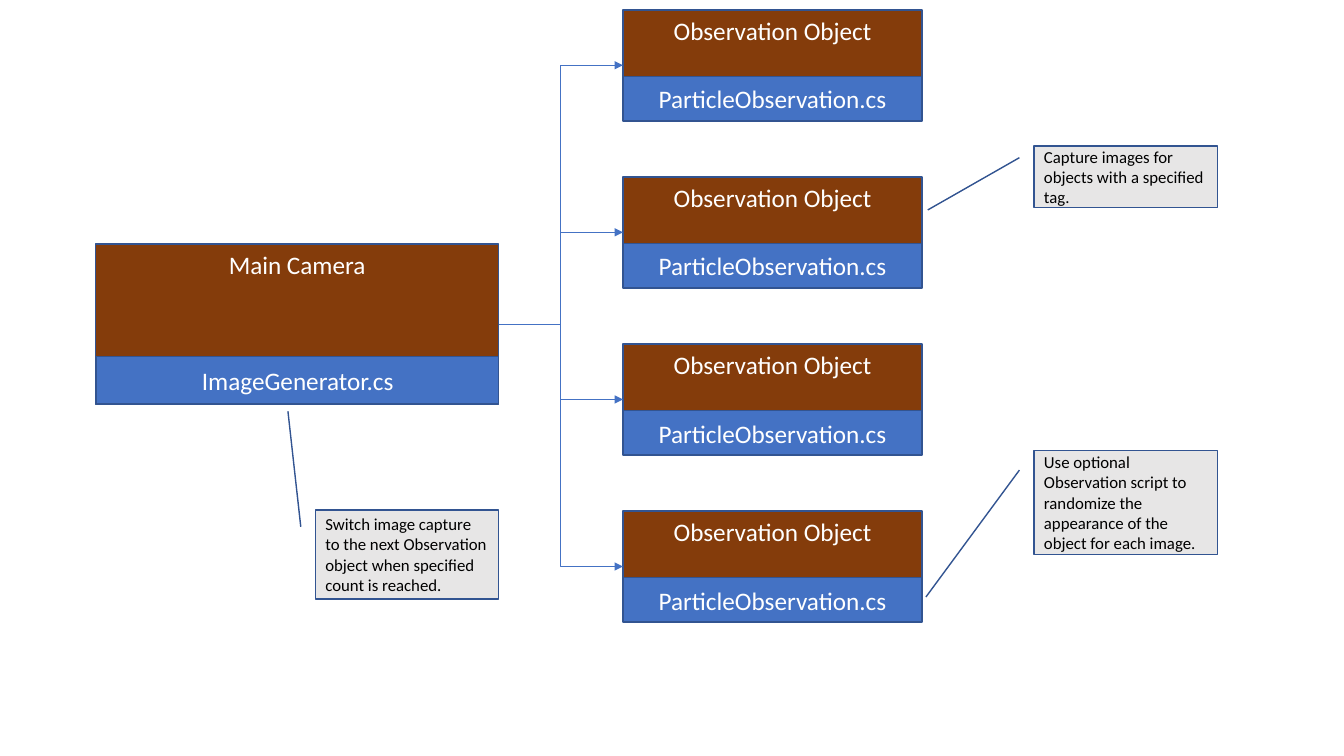
from lxml import etree
from pptx import Presentation
from pptx.dml.color import RGBColor
from pptx.enum.shapes import MSO_CONNECTOR, MSO_SHAPE
from pptx.enum.text import MSO_ANCHOR, PP_ALIGN
from pptx.oxml.ns import qn
from pptx.util import Cm, Pt

RECTANGLE = MSO_SHAPE.RECTANGLE
CALLOUT = MSO_SHAPE.LINE_CALLOUT_1
ELBOW = MSO_CONNECTOR.ELBOW
TOP, MIDDLE = MSO_ANCHOR.TOP, MSO_ANCHOR.MIDDLE
LEFT, CENTER = PP_ALIGN.LEFT, PP_ALIGN.CENTER

BROWN = RGBColor(0x84, 0x3C, 0x0B)
BLUE = RGBColor(0x44, 0x72, 0xC4)
DARK_BLUE = RGBColor(0x32, 0x54, 0x91)
GRAY = RGBColor(0xE7, 0xE6, 0xE6)
WHITE = RGBColor(0xFF, 0xFF, 0xFF)
BLACK = RGBColor(0x00, 0x00, 0x00)


def add_box(shapes, text, left, top, width, height, *, fill, kind=RECTANGLE,
            size=18, color=WHITE, align=CENTER, anchor=MIDDLE):
    shape = shapes.add_shape(kind, Cm(left), Cm(top), Cm(width), Cm(height))
    shape.shadow.inherit = False
    shape.fill.solid()
    shape.fill.fore_color.rgb = fill
    shape.line.color.rgb = DARK_BLUE
    shape.line.width = Pt(1)
    shape.text_frame.word_wrap = True
    shape.text_frame.vertical_anchor = anchor
    paragraph = shape.text_frame.paragraphs[0]
    paragraph.alignment = align
    run = paragraph.add_run()
    run.text = text
    run.font.name = "Calibri"
    run.font.size = Pt(size)
    run.font.color.rgb = color
    return shape


presentation = Presentation()
presentation.slide_width = Cm(33.87)
presentation.slide_height = Cm(19.05)
slide = presentation.slides.add_slide(presentation.slide_layouts[6])

camera = add_box(slide.shapes, "Main Camera", 2.41, 6.15, 10.16, 4.04,
                 fill=BROWN, anchor=TOP)
add_box(slide.shapes, "ImageGenerator.cs", 2.44, 8.98, 10.13, 1.19, fill=BLUE)

observations = []
for index in range(4):
    top = 0.25 + index * 4.21
    group = slide.shapes.add_group_shape()
    observations.append(add_box(group.shapes, "Observation Object", 15.7, top,
                                7.54, 2.79, fill=BROWN, anchor=TOP))
    add_box(group.shapes, "ParticleObservation.cs", 15.7, top + 1.68,
            7.54, 1.12, fill=BLUE)

for observation in observations:
    connector = slide.shapes.add_connector(ELBOW, 0, 0, 0, 0)
    connector.begin_connect(camera, 3)
    connector.end_connect(observation, 1)
    connector.line.color.rgb = BLUE
    connector.line.width = Pt(0.5)
    etree.SubElement(connector.line._get_or_add_ln(), qn("a:tailEnd"), type="triangle")
    etree.SubElement(connector._element.spPr, qn("a:effectLst"))

callouts = [
    ("Use optional Observation script to randomize the appearance of the object "
     "for each image.", 26.06, 11.35, 2.62, 1.41, -0.59),
    ("Capture images for objects with a specified tag.",
     26.06, 3.68, 1.55, 1.04, -0.58),
    ("Switch image capture to the next Observation object when specified count "
     "is reached.", 7.95, 12.85, 2.24, -1.11, -0.15),
]
for text, left, top, height, pointer_y, pointer_x in callouts:
    callout = add_box(slide.shapes, text, left, top, 4.62, height, fill=GRAY,
                      kind=CALLOUT, size=12, color=BLACK, align=LEFT)
    for position, value in enumerate((0.19, -0.08, pointer_y, pointer_x)):
        callout.adjustments[position] = value

presentation.save("out.pptx")
